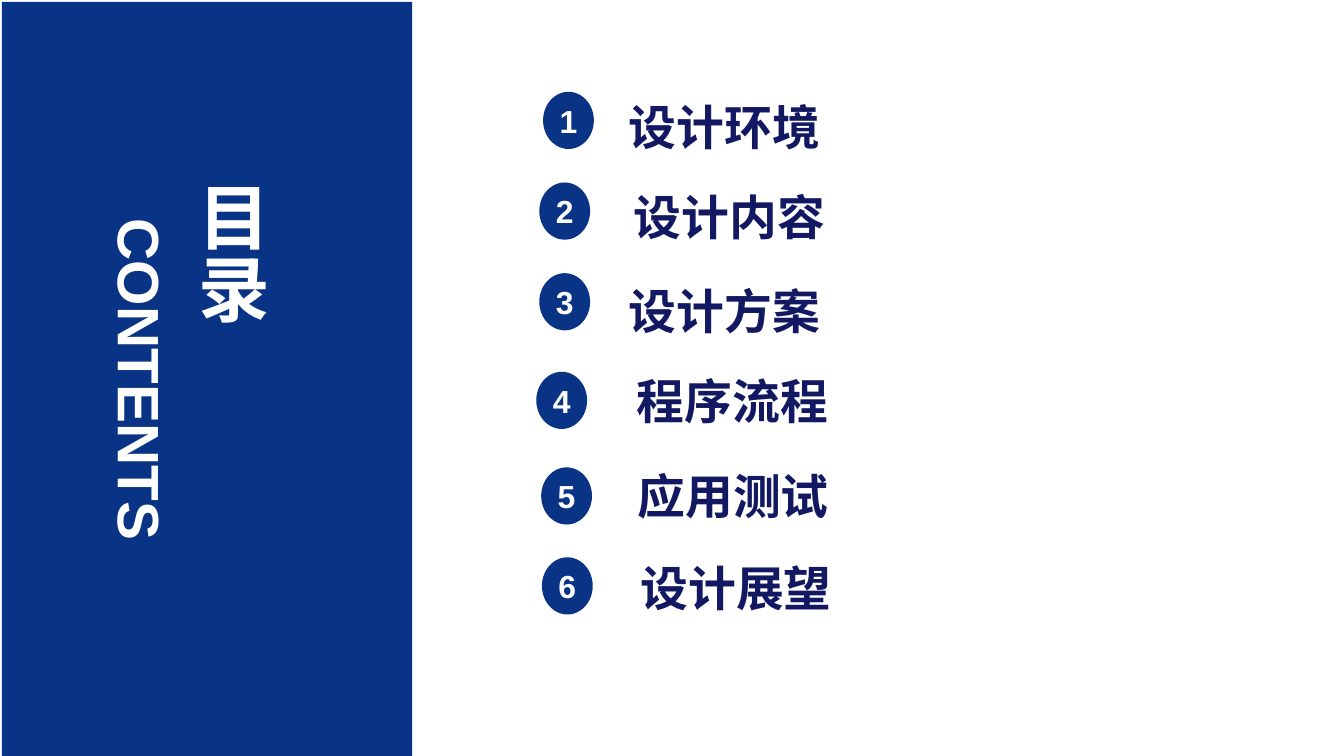
from pptx import Presentation
from pptx.dml.color import RGBColor
from pptx.enum.shapes import MSO_SHAPE as Shape
from pptx.enum.text import MSO_ANCHOR as Anchor, PP_ALIGN as Align
from pptx.util import Cm, Pt

COLORS = {"panel": "093385", "label": "121962", "white": "FFFFFF"}
FORMATS = {
    "title": {"size": Pt(54), "color": "white"},
    "subtitle": {"size": Pt(44), "color": "white"},
    "number": {"size": Pt(24), "color": "white"},
    "label": {"size": Pt(36), "color": "label"},
}
BADGE_SIZE = (1.35, 1.52)
LABEL_SIZE = (12.4, 2.01)
ENTRIES = [
    ("设计环境", (0.18, 0.31), (2.46, 0)),
    ("设计内容", (0.08, 2.72), (2.59, 2.39)),
    ("设计方案", (0.08, 5.13), (2.46, 4.88)),
    ("程序流程", (0, 7.75), (2.67, 7.29)),
    ("应用测试", (0.13, 10.29), (2.69, 9.81)),
    ("设计展望", (0.15, 12.68), (2.77, 12.25)),
]


def write(shape, text, style, align=Align.CENTER, anchor=Anchor.MIDDLE, spacing=1.0):
    """Put one styled line of text into a shape without margins."""
    frame = shape.text_frame
    margins = {f"margin_{side}": 0 for side in ("left", "top", "right", "bottom")}
    for name, value in {**margins, "word_wrap": True, "vertical_anchor": anchor}.items():
        setattr(frame, name, value)
    paragraph = frame.paragraphs[0]
    paragraph.alignment = align
    paragraph.line_spacing = spacing
    run = paragraph.add_run()
    run.text = text
    for name, value in {"name": "Arial", "size": FORMATS[style]["size"], "bold": True}.items():
        setattr(run.font, name, value)
    run.font.color.rgb = RGBColor.from_string(COLORS[FORMATS[style]["color"]])


def add_filled(slide, kind, left, top, width, height):
    """Add a flat preset shape in the panel colour."""
    shape = slide.shapes.add_shape(kind, Cm(left), Cm(top), Cm(width), Cm(height))
    shape.shadow.inherit = False
    shape.fill.solid()
    shape.fill.fore_color.rgb = RGBColor.from_string(COLORS["panel"])
    shape.line.fill.background()
    return shape


def add_textbox(slide, left, top, width, height):
    """Add an empty text box measured in centimetres."""
    return slide.shapes.add_textbox(Cm(left), Cm(top), Cm(width), Cm(height))


def build_title_panel(slide, left, top, width, height):
    """Draw the side panel with its vertical title and turned subtitle."""
    add_filled(slide, Shape.RECTANGLE, left, top, width, height)
    title = add_textbox(slide, left + 4.95, top + 4.78, 2.31, 10.54)
    write(title, "目录", "title", align=Align.LEFT)
    title.text_frame._txBody.bodyPr.set("vert", "eaVert")
    subtitle = add_textbox(slide, left - 0.89, top + 9.09, 9.17, 1.88)
    subtitle.rotation = 90
    write(subtitle, "CONTENTS", "subtitle", anchor=Anchor.TOP)


def build_contents(slide, left, top):
    """Draw the numbered list of chapters."""
    for number, (text, badge_at, label_at) in enumerate(ENTRIES, start=1):
        badge = add_filled(slide, Shape.OVAL, left + badge_at[0], top + badge_at[1], *BADGE_SIZE)
        write(badge, str(number), "number")
        label = add_textbox(slide, left + label_at[0], top + label_at[1], *LABEL_SIZE)
        write(label, text, "label", align=Align.LEFT, spacing=1.3)


def main():
    """Build the contents slide and save it."""
    presentation = Presentation()
    presentation.slide_width = Cm(35.71)
    presentation.slide_height = Cm(20.09)
    slide = presentation.slides.add_slide(presentation.slide_layouts[6])
    build_title_panel(slide, 0.05, 0.05, 10.9, 20.09)
    build_contents(slide, 14.25, 2.13)
    presentation.save("out.pptx")


if __name__ == "__main__":
    main()
